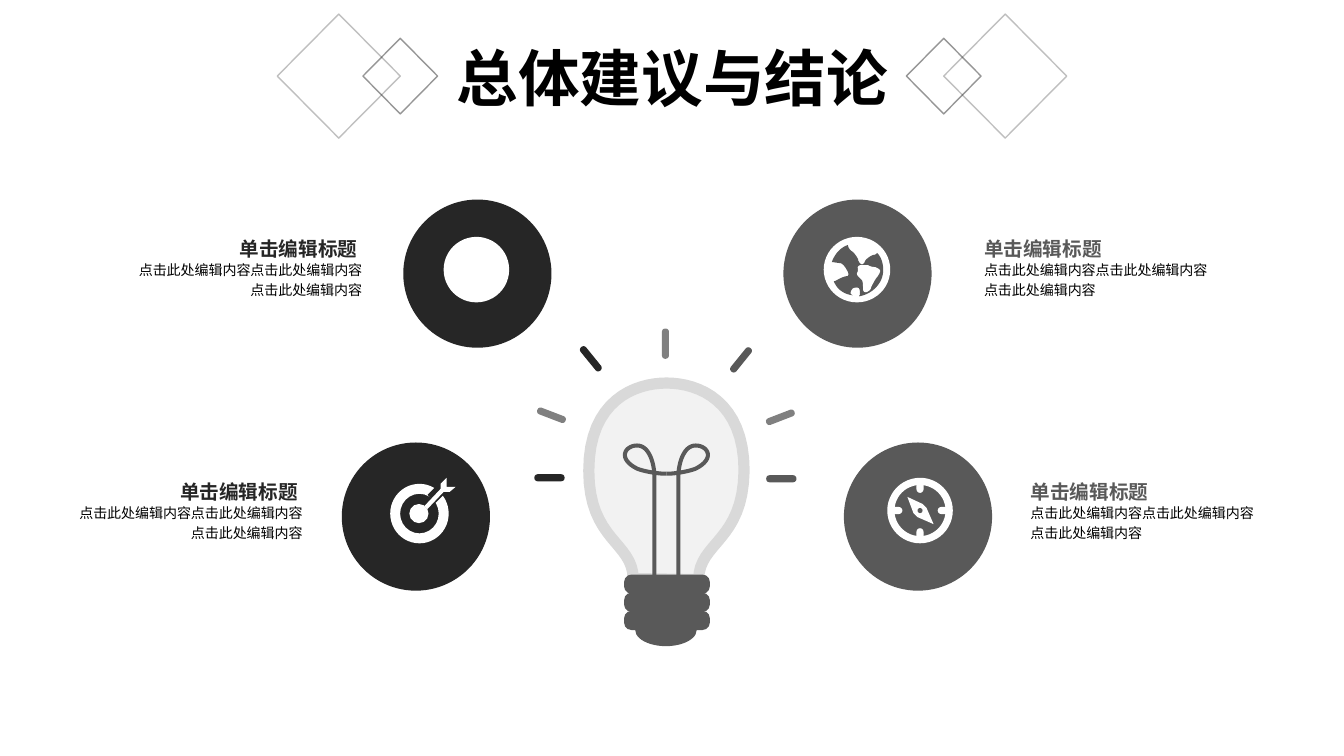
"""Build the light-bulb conclusion slide on a grid of 0.01 inch cells."""
from dataclasses import dataclass
from lxml import etree
from pptx import Presentation, util as u
from pptx.dml.color import RGBColor
from pptx.enum import shapes, text
from pptx.oxml.ns import qn


@dataclass(frozen=True)
class Theme:
    ink: str = "000000"
    edge: str = "1C1C1C"
    dark: str = "262626"
    gray: str = "595959"
    mid: str = "808080"
    rim: str = "D9D9D9"
    glass: str = "F2F2F2"
    white: str = "FFFFFF"
    head: int = 44
    sub: int = 14
    note: int = 10
    bold: str = "Noto Sans CJK SC"
    face: str = "Arial"


theme = Theme()
cell = u.Inches(0.01)
kind = shapes.MSO_SHAPE
cols, rows = 1333, 750

deck = Presentation()
deck.slide_width, deck.slide_height = cols * cell, rows * cell
slide = deck.slides.add_slide(deck.slide_layouts[5])
tree = slide.shapes


def put(form, left, top, wide, high, fill=None, line=None, width=1, adj=None, turn=0):
    item = tree.add_shape(form, *(int(v * cell) for v in (left, top, wide, high)))
    item.shadow.inherit = False
    item.rotation = turn
    if adj is not None:
        item.adjustments[0] = adj
    if fill:
        item.fill.solid()
        item.fill.fore_color.rgb = RGBColor.from_string(fill)
    else:
        item.fill.background()
    if line:
        item.line.color.rgb = RGBColor.from_string(line)
        item.line.width = u.Pt(width)
    else:
        item.line.fill.background()
    return item


def trace(spots, fill=None, line=None, width=1, bend=True, close=True):
    track = list(spots)
    if bend:
        track = spots[:1]
        for n in range(0, len(spots) - 1, 3):
            a, b, c, d = spots[n:n + 4]
            for t in (k / 16 for k in range(1, 17)):
                s = 1 - t
                track.append(tuple(s**3 * a[i] + 3 * s * s * t * b[i]
                                   + 3 * s * t * t * c[i] + t**3 * d[i] for i in (0, 1)))
    track = [(x * 100, y * 100) for x, y in track]
    pen = tree.build_freeform(*track[0], scale=cell / 100)
    pen.add_line_segments(track[1:], close=close)
    item = pen.convert_to_shape()
    item.shadow.inherit = False
    if fill:
        item.fill.solid()
        item.fill.fore_color.rgb = RGBColor.from_string(fill)
    else:
        item.fill.background()
    if line:
        item.line.color.rgb = RGBColor.from_string(line)
        item.line.width = u.Pt(width)
    else:
        item.line.fill.background()


for left, top, size, alpha in ((275, 14, 122, 27), (360, 38, 74, 46)):
    for x in (left, cols - left - size):
        gem = put(kind.DIAMOND, x, top, size, size + 1, line=theme.edge)
        tint = gem.line.fill._xPr.find(".//" + qn("a:srgbClr"))
        etree.SubElement(tint, qn("a:alpha")).set("val", str(alpha * 1000))

title = tree.title
title.left, title.top, title.width, title.height = (v * cell for v in (430, 34, 474, 84))
title.text_frame.text = "总体建议与结论"
para = title.text_frame.paragraphs[0]
para.alignment = text.PP_ALIGN.CENTER
para.font.size, para.font.bold, para.font.name = u.Pt(theme.head), True, theme.bold
para.font.color.rgb = RGBColor.from_string(theme.ink)

trace([(693, 575), (693, 538), (737, 537), (738, 467), (738, 398), (693, 380),
       (661, 380), (630, 380), (584, 397), (584, 467), (584, 536), (628, 538),
       (628, 574)], theme.glass, theme.rim, 8)
wire = [(649, 575), (649, 540), (649, 500), (649, 469), (648, 457), (643, 442),
        (632, 442), (620, 442), (612, 455), (632, 465), (640, 468), (652, 470), (661, 470)]
for side in (wire, [(1322 - x, y) for x, y in wire]):
    trace(side, line=theme.gray, width=2.9, close=False)
for step in range(3):
    put(kind.ROUNDED_RECTANGLE, 619, 570 + 18 * step, 85, 19, theme.gray, adj=0.38)
put(kind.OVAL, 630, 609, 61, 32, theme.gray)

for x, y, turn, tone in ((545, 474, 0, theme.dark), (547, 412, 21, theme.mid),
                         (586, 356, 51, theme.dark), (660, 341, 90, theme.mid),
                         (735, 357, -51, theme.gray), (774, 414, -21, theme.mid),
                         (775, 475, 0, theme.gray)):
    put(kind.ROUNDED_RECTANGLE, x - 15, y - 3.5, 30, 7, tone, adj=0.45, turn=turn)

right, start = text.PP_ALIGN.RIGHT, text.PP_ALIGN.LEFT
note = "点击此处编辑内容点击此处编辑内容\n点击此处编辑内容"
for disc, top, left, tone, side, name in (
        (400, 198, 124, theme.dark, right, "单击编辑标题 "),
        (339, 439, 65, theme.dark, right, "单击编辑标题 "),
        (777, 198, 976, theme.gray, start, "单击编辑标题"),
        (837, 439, 1022, theme.gray, start, "单击编辑标题")):
    put(kind.OVAL, disc, top, 147, 147, tone)
    for words, drop, high, size, hue, bold, gap in (
            (note, 58, 50, theme.note, theme.ink, False, 1.2),
            (name, 37, 21, theme.sub, tone, True, 1)):
        box = tree.add_textbox(left * cell, (top + drop) * cell, 235 * cell, high * cell)
        frame = box.text_frame
        frame.word_wrap = True
        frame.margin_left = frame.margin_right = frame.margin_top = frame.margin_bottom = 0
        para = frame.paragraphs[0]
        para.text, para.alignment, para.line_spacing = words, side, gap
        para.font.size, para.font.bold, para.font.name = u.Pt(size), bold, theme.face
        para.font.color.rgb = RGBColor.from_string(hue)

put(kind.OVAL, 440, 235, 65, 65, theme.white)

put(kind.DONUT, 387, 480, 58, 59, theme.white, adj=0.17)
trace([(428, 495), (438, 485)], line=theme.dark, width=8, bend=False, close=False)
put(kind.OVAL, 406, 500, 19, 19, theme.white)
trace([(421, 502), (437, 485), (437, 480), (443, 474), (443, 483), (452, 483),
       (446, 488), (440, 488), (424, 505)], theme.white, bend=False)

put(kind.DONUT, 880, 474, 65, 65, theme.white, adj=0.11)
for x, y, wide, high in ((909, 478, 7, 11), (909, 524, 7, 11),
                         (884, 503, 11, 7), (930, 503, 11, 7)):
    put(kind.ROUNDED_RECTANGLE, x, y, wide, high, theme.white, adj=0.5)
trace([(900, 493), (915, 500), (919, 504), (926, 520), (910, 513), (906, 509)],
      theme.white, bend=False)
put(kind.OVAL, 910, 504, 5, 5, theme.gray)

put(kind.OVAL, 817, 235, 66, 65, theme.white)
trace([(852, 294), (852, 293), (853, 293), (853, 292), (853, 290), (853, 288), (852, 286),
       (851, 285), (848, 285), (846, 286), (844, 288), (843, 290), (844, 292),
       (845, 292), (845, 293), (846, 293), (837, 292), (830, 287), (827, 279),
       (828, 279), (828, 279), (830, 278), (833, 276), (838, 274), (840, 274),
       (842, 274), (842, 271), (840, 268), (838, 264), (835, 261), (833, 261),
       (831, 261), (827, 260), (825, 260), (828, 252), (833, 246), (841, 243),
       (841, 246), (844, 249), (846, 250), (848, 252), (850, 255), (851, 257),
       (851, 258), (852, 261), (854, 262), (855, 263), (857, 262), (858, 259),
       (859, 257), (863, 254), (866, 253), (868, 253), (869, 252), (870, 251),
       (874, 255), (876, 261), (876, 268), (876, 281), (865, 292), (852, 294)], theme.gray)
trace([(868, 265), (865, 265), (862, 264), (861, 263), (860, 263), (857, 263), (854, 263),
       (852, 263), (850, 265), (851, 266), (851, 268), (851, 270), (850, 271),
       (850, 271), (850, 273), (851, 274), (852, 275), (854, 277), (855, 278),
       (856, 280), (856, 283), (856, 286), (856, 289), (857, 290), (859, 290),
       (862, 289), (864, 287), (864, 285), (865, 283), (867, 279), (869, 276),
       (871, 274), (873, 270), (873, 269), (873, 267), (870, 266), (868, 265)], theme.white)

deck.save("out.pptx")
